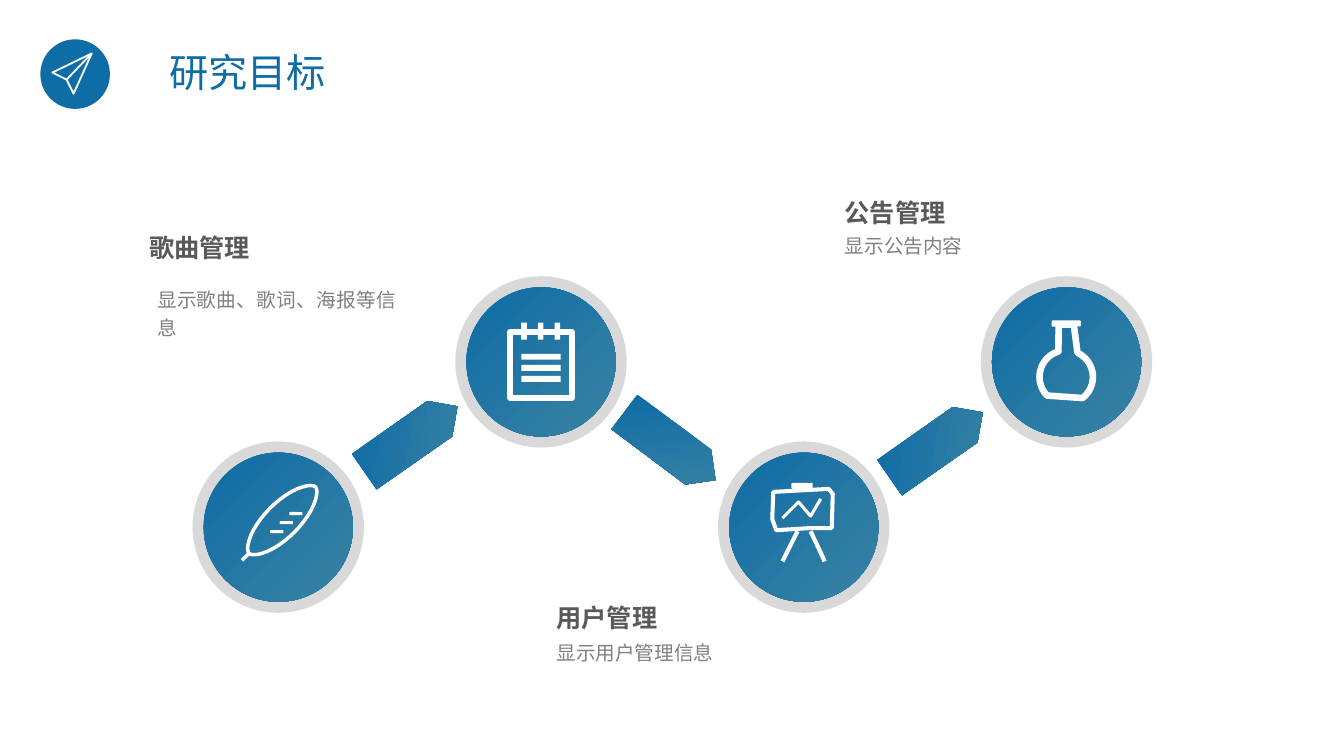
import math
import pptx
import pptx.util
import pptx.dml.color
import pptx.enum.shapes
import pptx.enum.text
import pptx.oxml

presentation = pptx.Presentation()
cell = pptx.util.Inches(0.01)
presentation.slide_width = 1333 * cell
presentation.slide_height = 750 * cell
slide = presentation.slides.add_slide(presentation.slide_layouts[6])

BLUE, TEAL, WHITE, RING = "0E6CA6", "3982A2", "FFFFFF", "D9D9D9"
HEADING, BODY = "595959", "808080"
NAMESPACE = 'xmlns:a="http://schemas.openxmlformats.org/drawingml/2006/main"'
SHAPES = pptx.enum.shapes.MSO_SHAPE
ALIGN = pptx.enum.text.PP_ALIGN


def color(value):
    return pptx.dml.color.RGBColor.from_string(value)


def add_block(kind, left, top, width, height, *colors):
    shape = slide.shapes.add_shape(
        kind, int(left * cell), int(top * cell), int(width * cell), int(height * cell))
    shape.shadow.inherit = False
    shape.line.fill.background()
    if len(colors) == 1:
        shape.fill.solid()
        shape.fill.fore_color.rgb = color(colors[0])
        return shape
    shape.fill.gradient()
    shape.fill.gradient_angle = 315
    for stop, position, value in zip(shape.fill.gradient_stops, (0, 0.98), colors):
        stop.position = position
        stop.color.rgb = color(value)
    return shape


add_block(SHAPES.OVAL, 40, 39, 69, 69, BLUE)

nodes = [(276 + 260.6 * step, 523 - 164 * (step % 2)) for step in range(4)]
for x, y in nodes:
    for size, colors in ((170, (RING,)), (148, (BLUE, TEAL))):
        add_block(SHAPES.OVAL, x - size / 2, y - size / 2, size, size, *colors)

for left, top, angle in ((351, 414, 325), (608, 421, 36.8), (872, 420, 325)):
    arrow = add_block(SHAPES.PENTAGON, left, top, 113, 43, BLUE, TEAL)
    arrow.rotation = angle

for row in range(3):
    add_block(SHAPES.RECTANGLE, 517, 351 + 11 * row, 39, 6, WHITE)
    add_block(SHAPES.RECTANGLE, 517 + 16.5 * row, 320, 5.5, 17, WHITE)
    add_block(SHAPES.ROUNDED_RECTANGLE, 268 + 9.5 * row, 526 - 9 * row, 13, 3, WHITE)
add_block(SHAPES.ROUNDED_RECTANGLE, 1043, 318, 29, 6, WHITE)
add_block(SHAPES.ROUNDED_RECTANGLE, 785, 479, 21, 6, WHITE)

leaf = []
for step in range(40):
    turn = math.tau * step / 40
    along = 33 * (1 - math.cos(turn))
    across = math.copysign(12 * abs(math.sin(turn)) ** 1.2, math.sin(turn))
    leaf.append((247 + along - across, 549 - along - across))

flask = [(1050, 322)]
for degrees in (*range(253, 127, -9), *range(52, -74, -9)):
    angle = math.radians(degrees)
    flask.append((1057.5 + 26.5 * math.cos(angle), 374 + 26.5 * math.sin(angle)))
flask.append((1065, 322))

strokes = [
    (1.3, True, [(52, 72), (91, 53), (73, 93), (66, 79)]),
    (1.3, False, [(66, 79), (91, 53)]),
    (4.3, True, [(506, 329), (567, 329), (567, 395), (506, 395)]),
    (4.7, True, flask),
    (2.5, True, leaf),
    (2.5, False, [(240, 556), (248, 548)]),
    (2.9, True, [(767, 488), (822, 485), (826, 490), (825, 524), (802, 524), (770, 526), (766, 515)]),
    (2.2, False, [(776, 514), (792, 498), (804, 512), (814, 495)]),
    (3, False, [(791, 527), (776, 557)]),
    (3, False, [(804, 527), (818, 557)]),
]
for weight, closed, points in strokes:
    corners = [(int(x * cell), int(y * cell)) for x, y in points]
    if len(corners) == 2:
        stroke = slide.shapes.add_connector(
            pptx.enum.shapes.MSO_CONNECTOR.STRAIGHT, *corners[0], *corners[1])
        stroke._element.spPr.append(pptx.oxml.parse_xml(f"<a:effectLst {NAMESPACE}/>"))
    else:
        builder = slide.shapes.build_freeform(*corners[0])
        builder.add_line_segments(corners[1:], close=closed)
        stroke = builder.convert_to_shape()
        stroke.shadow.inherit = False
        stroke.fill.background()
    stroke.line.color.rgb = color(WHITE)
    stroke.line.width = pptx.util.Pt(weight)

title = (28, BLUE, False, "Noto Sans CJK SC", ALIGN.CENTER, 1, 0)
heading = (18, HEADING, True, "Arial", ALIGN.JUSTIFY, 1.2, 1)
body = (14, BODY, False, "Arial", ALIGN.JUSTIFY, 1.2, 1)
for label, left, top, width, height, style in (
    ("研究目标", 118, 48, 255, 47, title),
    ("歌曲管理", 138, 220, 245, 44, heading),
    ("显示歌曲、歌词、海报等信息", 146, 276, 257, 67, body),
    ("用户管理", 542, 587, 245, 44, heading),
    ("显示用户管理信息", 542, 626, 318, 36, body),
    ("公告管理", 828, 185, 245, 44, heading),
    ("显示公告内容", 828, 223, 318, 36, body),
):
    size, value, bold, font, align, spacing, inset = style
    box = slide.shapes.add_textbox(left * cell, top * cell, width * cell, height * cell)
    frame = box.text_frame
    frame.word_wrap = True
    frame.margin_left = frame.margin_right = 10 * inset * cell
    frame.margin_top = frame.margin_bottom = 5 * inset * cell
    paragraph = frame.paragraphs[0]
    paragraph.alignment = align
    paragraph.line_spacing = spacing
    run = paragraph.add_run()
    run.text = label
    run.font.size = pptx.util.Pt(size)
    run.font.bold = bold
    run.font.name = font
    run.font.color.rgb = color(value)
    run.font._element.append(pptx.oxml.parse_xml(
        f'<a:ea {NAMESPACE} typeface="Noto Sans CJK SC"/>'))

presentation.save("out.pptx")
